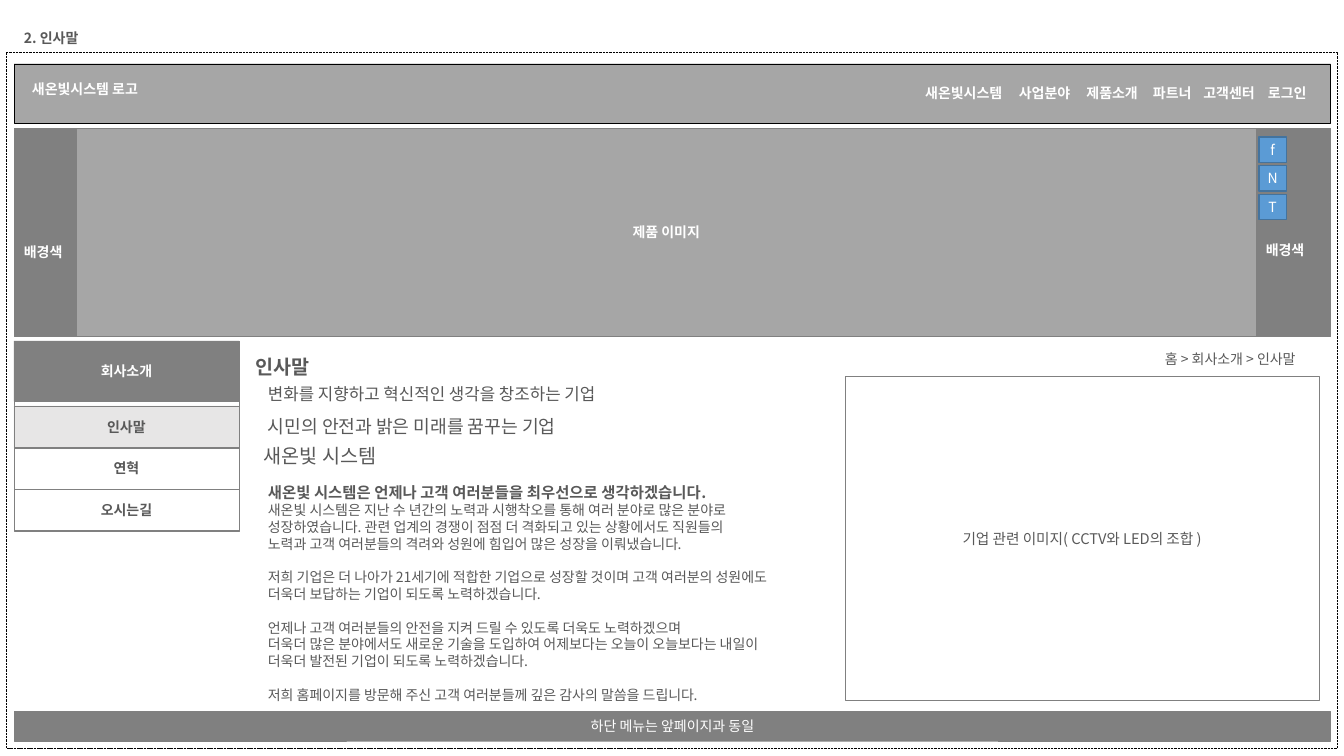
from lxml.etree import SubElement
from pptx import Presentation
from pptx.dml.color import RGBColor
from pptx.enum.dml import MSO_LINE
from pptx.enum.shapes import MSO_SHAPE
from pptx.enum.text import MSO_ANCHOR, PP_ALIGN
from pptx.oxml.ns import qn
from pptx.util import Pt

FONT = "Noto Sans CJK KR"
WHITE, INK, GRAY, LIGHT = "FFFFFF", "595959", "808080", "A6A6A6"
LEFT, WIDTH = 10, 940.5

GREETING_TITLE = "새온빛 시스템은 언제나 고객 여러분들을 최우선으로 생각하겠습니다."
GREETING = [
    ["새온빛 시스템은 지난 수 년간의 노력과 시행착오를 통해 여러 분야로 많은 분야로",
     "성장하였습니다. 관련 업계의 경쟁이 점점 더 격화되고 있는 상황에서도 직원들의",
     "노력과 고객 여러분들의 격려와 성원에 힘입어 많은 성장을 이뤄냈습니다."],
    ["저희 기업은 더 나아가 21세기에 적합한 기업으로 성장할 것이며 고객 여러분의 성원에도",
     "더욱더 보답하는 기업이 되도록 노력하겠습니다."],
    ["언제나 고객 여러분들의 안전을 지켜 드릴 수 있도록 더욱도 노력하겠으며",
     "더욱더 많은 분야에서도 새로운 기술을 도입하여 어제보다는 오늘이 오늘보다는 내일이",
     "더욱더 발전된 기업이 되도록 노력하겠습니다."],
    ["저희 홈페이지를 방문해 주신 고객 여러분들께 깊은 감사의 말씀을 드립니다."],
]


def rgb(value):
    return RGBColor.from_string(value)


def add_run(paragraph, text, size, color, bold=False):
    run = paragraph.add_run()
    run.text = text
    run.font.size = Pt(size)
    run.font.bold = bold
    run.font.name = FONT
    run.font.color.rgb = rgb(color)
    SubElement(run.font._element, qn("a:ea")).set("typeface", FONT)
    paragraph.line_spacing = Pt(size * 1.2)


def add_box(slide, left, top, width, height, fill=None, line=GRAY, weight=0.25,
            text="", color=WHITE, size=10, bold=False):
    box = slide.shapes.add_shape(MSO_SHAPE.RECTANGLE, Pt(left), Pt(top), Pt(width), Pt(height))
    box.shadow.inherit = False
    if fill:
        box.fill.solid()
        box.fill.fore_color.rgb = rgb(fill)
    else:
        box.fill.background()
    box.line.color.rgb = rgb(line)
    box.line.width = Pt(weight)
    if text:
        frame = box.text_frame
        frame.vertical_anchor = MSO_ANCHOR.MIDDLE
        frame.margin_left = frame.margin_right = Pt(3)
        frame.margin_top = frame.margin_bottom = Pt(1.5)
        frame.paragraphs[0].alignment = PP_ALIGN.CENTER
        add_run(frame.paragraphs[0], text, size, color, bold)
    return box


def add_frame(slide, left, top, width, height):
    frame = slide.shapes.add_textbox(Pt(left), Pt(top), Pt(width), Pt(height)).text_frame
    frame.word_wrap = False
    return frame


def add_label(slide, left, top, width, text, size=10, color=INK, bold=False):
    frame = add_frame(slide, left, top, width, size * 1.2 + 7.2)
    add_run(frame.paragraphs[0], text, size, color, bold)


def add_greeting(slide):
    frame = add_frame(slide, 184.3, 342.7, 417.6, 166.3)
    add_run(frame.paragraphs[0], GREETING_TITLE, 11, INK, bold=True)
    frame.paragraphs[0].line_spacing = Pt(12)
    for index, lines in enumerate(GREETING):
        paragraph = frame.add_paragraph()
        paragraph.space_before = Pt(12 if index else 0)
        for number, line in enumerate(lines):
            if number:
                paragraph.add_line_break()
            add_run(paragraph, line, 10, INK)


def main():
    deck = Presentation()
    deck.slide_width, deck.slide_height = Pt(960), Pt(540)
    slide = deck.slides.add_slide(deck.slide_layouts[6])

    # Page frame, header and footer
    add_box(slide, LEFT, 45.5, WIDTH, 42.5, LIGHT, "000000")
    page = add_box(slide, 4.5, 37, 951, 497.5, line="000000")
    page.line.dash_style = MSO_LINE.SQUARE_DOT
    add_box(slide, LEFT, 508.3, WIDTH, 21, GRAY, text="하단 메뉴는 앞페이지과 동일")
    add_label(slide, LEFT, 17.3, 57, "2. 인사말", bold=True)
    add_label(slide, 15.8, 54, 102, "새온빛시스템 로고", color=WHITE, bold=True)
    menu = [(653.8, 75, "새온빛시스템"), (720.7, 55, "사업분야"), (769, 55, "제품소개"),
            (816.5, 45, "파트너"), (852.5, 55, "고객센터"), (898.6, 45, "로그인")]
    for left, width, item in menu:
        add_label(slide, left, 57, width, item, color=WHITE, bold=True)

    # Product banner with share buttons
    add_box(slide, LEFT, 91.5, WIDTH, 149, GRAY)
    add_box(slide, 54.7, 91.5, 842.4, 149, LIGHT, text="제품 이미지", bold=True)
    for left, top in ((LEFT, 170.6), (897.1, 169)):
        add_label(slide, left, top, 45, "배경색", color=WHITE, bold=True)
    for row, letter in enumerate("fNT"):
        add_box(slide, 899.3, 98 + 20.4 * row, 19.5, 18, "5B9BD5", "43739E", 1, letter)

    # Side menu
    add_box(slide, LEFT, 243.5, 160.6, 135.5)
    add_box(slide, LEFT, 243.5, 160.6, 43.2, GRAY, text="회사소개", bold=True)
    side_menu = [(290, "인사말", "E7E6E6"), (319.2, "연혁", None), (349.2, "오시는길", None)]
    for top, item, fill in side_menu:
        add_box(slide, LEFT, top, 160.6, 30, fill, text=item, color=INK, bold=True)

    # Greeting text
    add_label(slide, 175.7, 250, 57, "인사말", 14, bold=True)
    add_label(slide, 184.3, 270.7, 278.6, "변화를 지향하고 혁신적인 생각을 창조하는 기업", 12)
    add_label(slide, 184.3, 293, 247.7, "시민의 안전과 밝은 미래를 꿈꾸는 기업", 13)
    add_label(slide, 181.4, 313.2, 104.4, "새온빛 시스템", 14)
    add_greeting(slide)

    # Breadcrumb and company image area
    add_label(slide, 825, 247, 124, "홈 > 회사소개 > 인사말")
    add_box(slide, 603.4, 268.6, 339, 231.8, text="기업 관련 이미지( CCTV와 LED의 조합 )",
            color=INK, size=10.5)

    deck.save("out.pptx")


if __name__ == "__main__":
    main()
